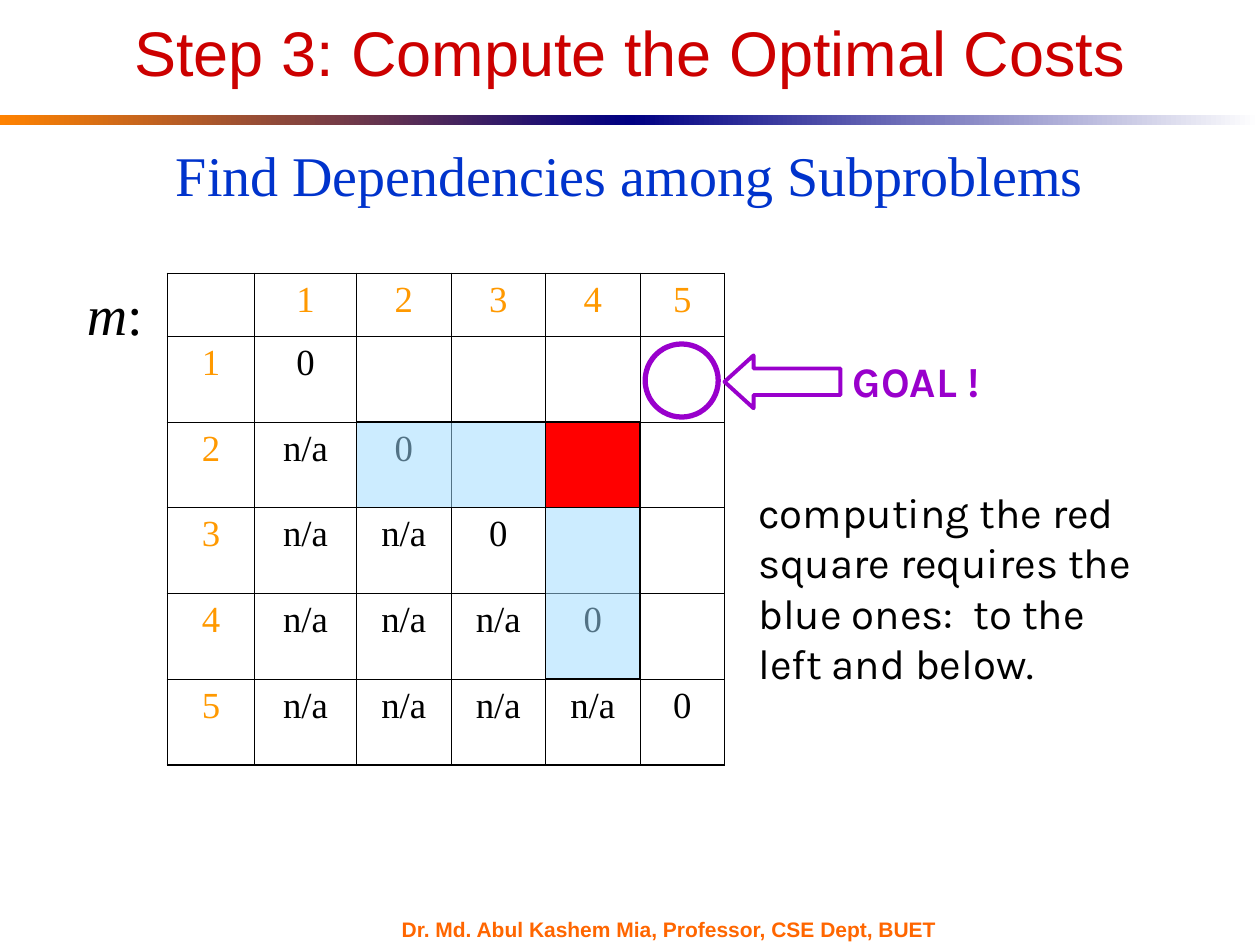
from lxml.etree import SubElement
from pptx import Presentation
from pptx.dml.color import RGBColor
from pptx.enum.shapes import MSO_SHAPE
from pptx.enum.text import MSO_ANCHOR, PP_ALIGN
from pptx.oxml.ns import qn
from pptx.util import Inches, Pt

SERIF = "Times New Roman"
BLACK, PURPLE, ORANGE, PALE_BLUE = "000000", "9900CC", "FF9900", "9EDBFF"

GRID_LEFT, GRID_TOP = 1.33, 2.17
COLUMN_WIDTHS = [0.69, 0.81, 0.75, 0.75, 0.75, 0.67]
ROW_HEIGHTS = [0.5] + [0.68] * 5
COSTS = [
    ["", "1", "2", "3", "4", "5"],
    ["1", "0", "", "", "", ""],
    ["2", "n/a", "0", "", "", ""],
    ["3", "n/a", "n/a", "0", "", ""],
    ["4", "n/a", "n/a", "n/a", "0", ""],
    ["5", "n/a", "n/a", "n/a", "n/a", "0"],
]


def rgb(color):
    return RGBColor.from_string(color)


def style(font, name, size, color, bold=False):
    font.name, font.size, font.bold = name, Pt(size), bold
    font.color.rgb = rgb(color)


def add_text(slide, box, lines, font, size, color, bold=False,
             align=PP_ALIGN.LEFT, anchor=MSO_ANCHOR.TOP):
    frame = slide.shapes.add_textbox(*map(Inches, box)).text_frame
    frame.word_wrap = False
    frame.vertical_anchor = anchor
    frame.text = "\n".join(lines)
    for paragraph in frame.paragraphs:
        paragraph.alignment = align
        style(paragraph.font, font, size, color, bold)
    return frame


def add_outline(slide, kind, box, line_color, line_width, fill=None, opacity=None):
    shape = slide.shapes.add_shape(kind, *map(Inches, box))
    shape.shadow.inherit = False
    shape.line.color.rgb = rgb(line_color)
    shape.line.width = Pt(line_width)
    if fill:
        shape.fill.solid()
        shape.fill.fore_color.rgb = rgb(fill)
    else:
        shape.fill.background()
    if opacity:
        tint = shape.fill._xPr.find(qn("a:solidFill"))[0]
        SubElement(tint, qn("a:alpha"), val=str(opacity * 1000))
    return shape


def add_gradient_bar(slide, left, start, end):
    bar = slide.shapes.add_shape(
        MSO_SHAPE.RECTANGLE, *map(Inches, (left, 0.91, 5, 0.08)))
    bar.shadow.inherit = False
    bar.line.fill.background()
    bar.fill.gradient()
    bar.fill.gradient_angle = 0
    for stop, color in zip(bar.fill.gradient_stops, (start, end)):
        stop.color.rgb = rgb(color)


def cells_box(row, column, rows=1, columns=1):
    """Left, top, width and height of a block of table cells."""
    return (GRID_LEFT + sum(COLUMN_WIDTHS[:column]),
            GRID_TOP + sum(ROW_HEIGHTS[:row]),
            sum(COLUMN_WIDTHS[column:column + columns]),
            sum(ROW_HEIGHTS[row:row + rows]))


def set_borders(cell, row, column):
    """Draw thick lines on the table's outer edge and thin ones inside."""
    last_row, last_column = len(ROW_HEIGHTS) - 1, len(COLUMN_WIDTHS) - 1
    outer_sides = {"lnL": column == 0, "lnR": column == last_column,
                   "lnT": row == 0, "lnB": row == last_row}
    properties = cell._tc.get_or_add_tcPr()
    for position, (side, outer) in enumerate(outer_sides.items()):
        width = Pt(1.08 if outer else 0.45)
        border = SubElement(properties, qn(f"a:{side}"), w=str(width))
        fill = SubElement(border, qn("a:solidFill"))
        SubElement(fill, qn("a:srgbClr"), val=BLACK)
        properties.insert(position, border)


def add_cost_table(slide):
    box = cells_box(0, 0, len(ROW_HEIGHTS), len(COLUMN_WIDTHS))
    table = slide.shapes.add_table(
        len(ROW_HEIGHTS), len(COLUMN_WIDTHS), *map(Inches, box)).table
    table.first_row = table.horz_banding = False
    for column, width in zip(table.columns, COLUMN_WIDTHS):
        column.width = Inches(width)
    for row, height in zip(table.rows, ROW_HEIGHTS):
        row.height = Inches(height)
    for r, costs in enumerate(COSTS):
        for c, cost in enumerate(costs):
            cell = table.cell(r, c)
            cell.text = cost
            cell.fill.background()
            set_borders(cell, r, c)
            paragraph = cell.text_frame.paragraphs[0]
            paragraph.alignment = PP_ALIGN.CENTER
            paragraph.space_before = Pt(5.2)
            style(paragraph.font, SERIF, 21, BLACK if r and c else ORANGE)


def add_goal(slide):
    add_outline(slide, MSO_SHAPE.OVAL, (5.12, 2.73, 0.58, 0.58), PURPLE, 3)
    arrow = add_outline(slide, MSO_SHAPE.LEFT_ARROW, (5.75, 2.82, 0.92, 0.42),
                        PURPLE, 2.25)
    arrow.adjustments[1] = 0.55
    add_text(slide, (6.67, 2.77, 1.28, 0.9), ["GOAL !"], "Karla", 24, PURPLE, bold=True)


def add_dependencies(slide):
    for block, fill, opacity in [
        (cells_box(2, 4), "FF0000", None),
        (cells_box(2, 2, columns=2), PALE_BLUE, 52),
        (cells_box(3, 4, rows=2), PALE_BLUE, 52),
    ]:
        add_outline(slide, MSO_SHAPE.RECTANGLE, block, BLACK, 0.75, fill, opacity)
    add_text(slide, (5.92, 3.81, 3.28, 1.7),
             ["computing the red", "square requires the",
              "blue ones:  to the", "left and below."], "Karla", 24, BLACK)


def add_matrix_name(slide):
    frame = add_text(slide, (0.59, 2.17, 0.72, 0.64), ["m"], SERIF, 32, BLACK)
    name = frame.paragraphs[0]
    name.runs[0].font.italic = True
    name.add_run().text = ":"


def set_title(slide, text):
    title = slide.shapes.title
    title.left, title.top, title.width, title.height = map(Inches, (0.5, 0.25, 9, 0.51))
    title.text_frame.text = text
    title.text_frame.vertical_anchor = MSO_ANCHOR.BOTTOM
    heading = title.text_frame.paragraphs[0]
    heading.alignment = PP_ALIGN.CENTER
    style(heading.font, "Arial", 36, "CC0000")


def main():
    deck = Presentation()
    deck.slide_width, deck.slide_height = Inches(10), Inches(7.5)
    slide = deck.slides.add_slide(deck.slide_layouts[5])
    set_title(slide, "Step 3: Compute the Optimal Costs")
    add_gradient_bar(slide, 0, "FF8200", "000082")
    add_gradient_bar(slide, 5, "000082", "FFFFFF")
    add_text(slide, (1.29, 1.07, 7.41, 0.63), ["Find Dependencies among Subproblems"],
             SERIF, 32, "0033CC", align=PP_ALIGN.RIGHT)
    add_matrix_name(slide)
    add_cost_table(slide)
    add_goal(slide)
    add_dependencies(slide)
    add_text(slide, (3.09, 7.28, 4.67, 0.18),
             ["Dr. Md. Abul Kashem Mia, Professor, CSE Dept, BUET"],
             "Arial", 12, "FF6600", bold=True, anchor=MSO_ANCHOR.MIDDLE)
    deck.save("out.pptx")


if __name__ == "__main__":
    main()
